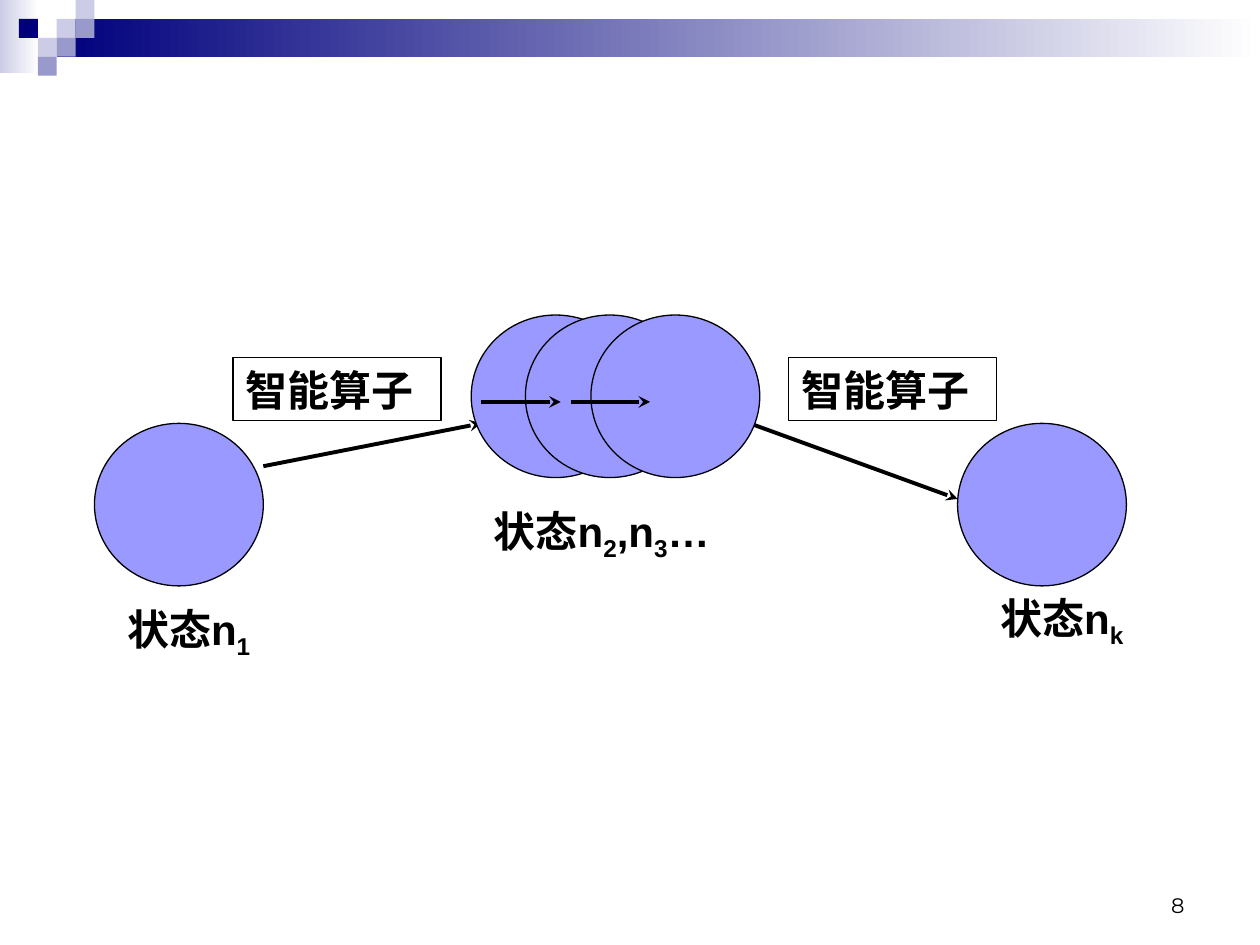
from typing import NamedTuple

from lxml import etree
from pptx import Presentation
from pptx.dml.color import RGBColor
from pptx.enum import shapes as kinds, text as txt
from pptx.oxml.ns import qn
from pptx.util import Inches, Pt

COLORS = {
    "navy": "00007D",
    "pale": "CCCCE6",
    "mid": "9999CC",
    "state": "9999FF",
    "ink": "000000",
    "paper": "FFFFFF",
}
TILE = 0.15
STATE_W, STATE_H = 1.34, 1.29


class Box(NamedTuple):
    left: float
    top: float
    width: float
    height: float


class Arrow(NamedTuple):
    x1: float
    y1: float
    x2: float
    y2: float


class Label(NamedTuple):
    box: Box
    wording: tuple[str, ...]  # normal and subscript text in turn
    framed: bool = False


def rgb(name: str) -> RGBColor:
    return RGBColor.from_string(COLORS[name])


def draw_shape(slide, kind, box: Box, color: str, fade_to: str = "", outlined: bool = False) -> None:
    shape = slide.shapes.add_shape(kind, *map(Inches, box))
    shape.shadow.inherit = False
    if fade_to:
        shape.fill.gradient()
        shape.fill.gradient_angle = 0
        for stop, name, position in zip(shape.fill.gradient_stops, (color, fade_to), (0, 1)):
            stop.color.rgb = rgb(name)
            stop.position = position
    else:
        shape.fill.solid()
        shape.fill.fore_color.rgb = rgb(color)
    if outlined:
        shape.line.color.rgb = rgb("ink")
        shape.line.width = Pt(0.75)
    else:
        shape.line.fill.background()


def draw_state(slide, left: float, top: float) -> None:
    draw_shape(slide, kinds.MSO_SHAPE.OVAL, Box(left, top, STATE_W, STATE_H), "state", outlined=True)


def draw_arrow(slide, arrow: Arrow) -> None:
    connector = slide.shapes.add_connector(kinds.MSO_CONNECTOR.STRAIGHT, *map(Inches, arrow))
    connector.line.color.rgb = rgb("ink")
    connector.line.width = Pt(2.25)
    properties = connector._element.spPr
    etree.SubElement(properties.find(qn("a:ln")), qn("a:tailEnd"), type="stealth")
    etree.SubElement(properties, qn("a:effectLst"))


def add_text(slide, box: Box, wording: tuple[str, ...], *, size: float = 24, font: str = "Arial",
             bold: bool = True, align=txt.PP_ALIGN.LEFT, anchor=txt.MSO_ANCHOR.TOP,
             framed: bool = False) -> None:
    """Write the wording on one line, every second piece as a subscript."""
    holder = slide.shapes.add_textbox(*map(Inches, box))
    if framed:
        holder.line.color.rgb = rgb("ink")
        holder.line.width = Pt(0.75)
    frame = holder.text_frame
    frame.word_wrap = True
    frame.vertical_anchor = anchor
    paragraph = frame.paragraphs[0]
    paragraph.alignment = align
    for index, piece in enumerate(wording):
        run = paragraph.add_run()
        run.text = piece
        run.font.size = Pt(size)
        run.font.name = font
        run.font.bold = bold
        run.font.color.rgb = rgb("ink")
        if index % 2:
            run._r.get_or_add_rPr().set("baseline", "-25000")


def draw_banner(slide) -> None:
    rect = kinds.MSO_SHAPE.RECTANGLE
    draw_shape(slide, rect, Box(0, 0, 0.31, 0.58), "pale", fade_to="paper")
    draw_shape(slide, rect, Box(0.45, TILE, 9.55, 2 * TILE), "navy", fade_to="paper")
    tiles = [(3, 1, "pale"), (4, 0, "pale"), (4, 1, "mid"), (2, 2, "pale"),
             (1, 1, "navy"), (3, 2, "mid"), (2, 3, "mid")]
    for column, row, color in tiles:
        draw_shape(slide, rect, Box(column * TILE, row * TILE, TILE, TILE), color)


def draw_state_chain(slide) -> None:
    draw_state(slide, 0.75, 3.36)
    draw_arrow(slide, Arrow(2.09, 3.7, 3.82, 3.36))
    draw_state(slide, 3.74, 2.5)
    draw_arrow(slide, Arrow(5.95, 3.36, 7.6, 3.96))
    for left, top in [(7.6, 3.36), (4.17, 2.5), (4.69, 2.5)]:
        draw_state(slide, left, top)
    for start in (3.82, 4.53):
        draw_arrow(slide, Arrow(start, 3.19, start + 0.63, 3.19))

    labels = [
        Label(Box(1.85, 2.84, 1.65, 0.5), ("智能算子",), framed=True),
        Label(Box(6.26, 2.84, 1.65, 0.5), ("智能算子",), framed=True),
        Label(Box(0.91, 4.74, 1.65, 0.56), ("状态n", "1")),
        Label(Box(7.84, 4.65, 1.65, 0.56), ("状态n", "k")),
        Label(Box(3.82, 3.96, 2.44, 0.56), ("状态n", "2", ",n", "3", "…")),
    ]
    for label in labels:
        add_text(slide, label.box, label.wording, framed=label.framed)


def main() -> None:
    deck = Presentation()
    deck.slide_width, deck.slide_height = Inches(10), Inches(7.5)
    slide = deck.slides.add_slide(deck.slide_layouts[6])
    draw_banner(slide)
    add_text(slide, Box(7.17, 6.83, 2.33, 0.5), ("8",), size=12, font="Montserrat", bold=False,
             align=txt.PP_ALIGN.RIGHT, anchor=txt.MSO_ANCHOR.BOTTOM)
    draw_state_chain(slide)
    deck.save("out.pptx")


if __name__ == "__main__":
    main()
